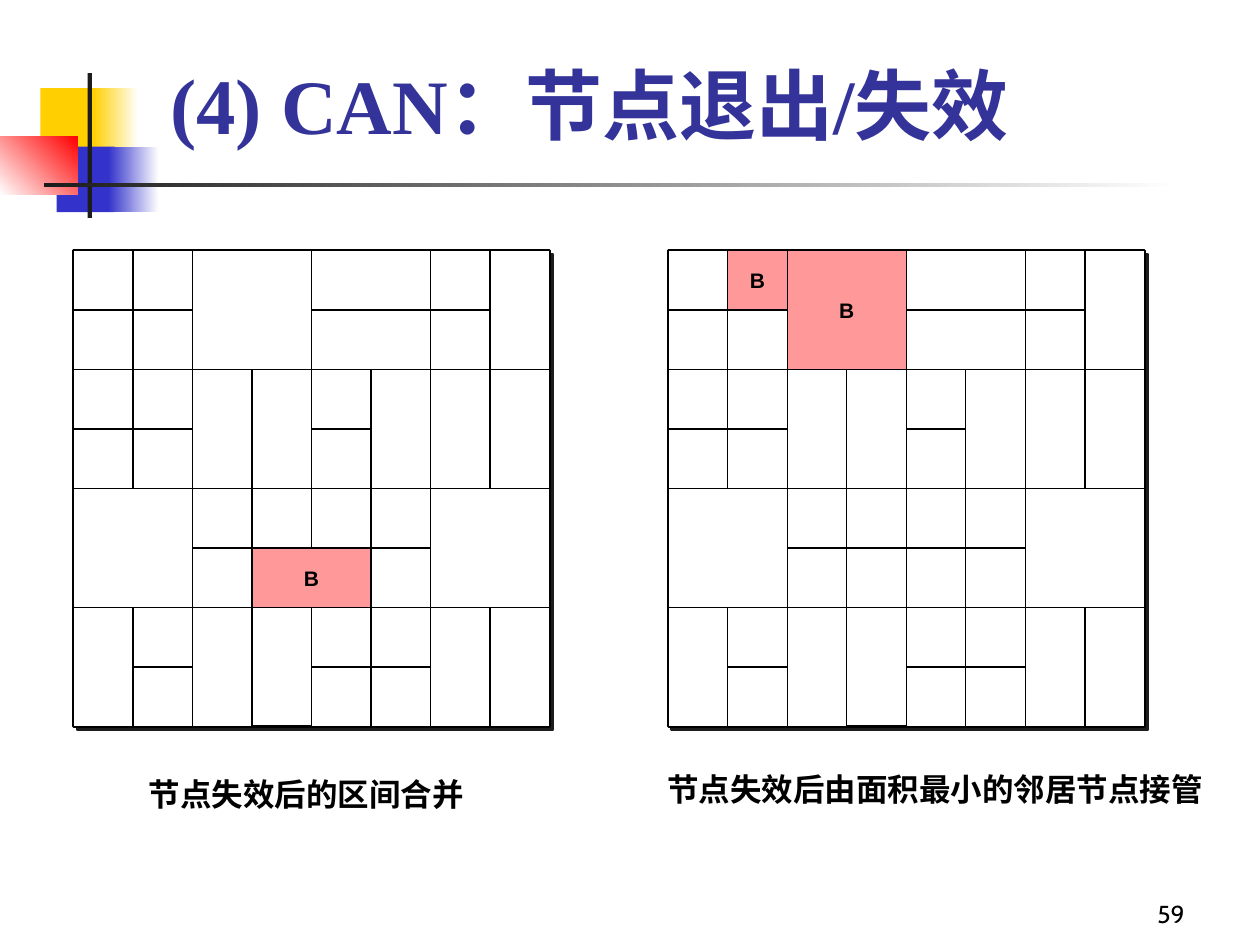
import pptx
import pptx.util
import pptx.dml.color
import pptx.enum.shapes
import pptx.enum.text
import pptx.oxml
import pptx.oxml.ns

Pt = pptx.util.Pt
RGB = pptx.dml.color.RGBColor.from_string
ALIGN = pptx.enum.text.PP_ALIGN
ANCHOR = pptx.enum.text.MSO_ANCHOR
RECT = pptx.enum.shapes.MSO_SHAPE.RECTANGLE

theme = {
    "white": "FFFFFF", "black": "000000", "dark": "1C1C1C", "gold": "FFCF01",
    "blue": "3333CC", "red": "FF0000", "pink": "FF9999", "navy": "333399",
    "title": {"name": "Times New Roman", "size": Pt(44), "bold": True},
    "label": {"name": "Arial", "size": Pt(12), "bold": True},
    "note": {"name": "Arial", "size": Pt(18), "bold": True},
    "page": {"name": "Cabin", "size": Pt(14), "bold": False},
}

deck = pptx.Presentation()
deck.slide_width = pptx.util.Inches(10)
deck.slide_height = pptx.util.Inches(7.5)
slide = deck.slides.add_slide(deck.slide_layouts[5])


def rect(x, y, w, h, fill, line=None, angle=0):
    """Add a rectangle placed in percent of the slide; a pair of fills is a gradient."""
    wide, high = deck.slide_width / 100, deck.slide_height / 100
    shape = slide.shapes.add_shape(
        RECT, round(x * wide), round(y * high), round(w * wide), round(h * high))
    shape.shadow.inherit = False
    if isinstance(fill, tuple):
        shape.fill.gradient()
        shape.fill.gradient_angle = angle
        for stop, name in zip(shape.fill.gradient_stops, fill):
            stop.color.rgb = RGB(theme[name])
    elif fill:
        shape.fill.solid()
        shape.fill.fore_color.rgb = RGB(theme[fill])
    else:
        shape.fill.background()
    if line:
        shape.line.width = Pt(line)
        shape.line.color.rgb = RGB(theme["black"])
    else:
        shape.line.fill.background()
    return shape


def write(shape, runs, style, color, align, anchor, wrap=True):
    """Fill a shape with one paragraph of (text, size) runs; size None keeps the style's."""
    frame = shape.text_frame
    form = {"word_wrap": wrap, "vertical_anchor": anchor,
            "auto_size": pptx.enum.text.MSO_AUTO_SIZE.NONE}
    for key, value in form.items():
        setattr(frame, key, value)
    line = frame.paragraphs[0]
    line.alignment = align
    for text, size in runs:
        run = line.add_run()
        run.text = text
        for key, value in theme[style].items():
            setattr(run.font, key, value)
        if size:
            run.font.size = Pt(size)
        run.font.color.rgb = RGB(theme[color])


# Corner ornament and title rule
for x, y, w, h, fill, angle in (
    (3.2, 9.33, 4.8, 6.93, "gold", 0),
    (7.4, 9.33, 3.6, 6.93, ("gold", "white"), 0),
    (4.5, 15.53, 4.6, 6.93, "blue", 0),
    (8.6, 15.53, 4, 6.93, ("blue", "white"), 0),
    (0, 14.4, 6.15, 6.2, ("white", "red"), 45),
    (6.95, 7.75, 0.35, 15.33, "dark", 0),
    (3.5, 19.33, 90, 0.5, ("dark", "white"), 0),
):
    rect(x, y, w, h, fill, angle=angle)

title = slide.shapes.title
spot = {"left": 0.125, "top": 0.052, "width": 0.852, "height": 0.114}
for key, share in spot.items():
    side = deck.slide_width if key in ("left", "width") else deck.slide_height
    setattr(title, key, round(side * share))
write(title, [("(4)", 45), (" CAN：节点退出/失效", None)],
      "title", "navy", ALIGN.LEFT, ANCHOR.BOTTOM)

# Zones of the 8 by 8 space: (columns, rows) -> (column, row) of each zone
zones = {
    (1, 1): [(0, 0), (0, 1), (0, 2), (0, 3), (1, 0), (1, 1), (1, 2), (1, 3),
             (1, 6), (1, 7), (2, 4), (3, 5), (4, 2), (4, 3), (4, 4), (4, 5),
             (4, 6), (4, 7), (5, 4), (5, 5), (5, 6), (5, 7), (6, 0), (6, 1)],
    (1, 2): [(0, 6), (2, 2), (2, 6), (3, 2), (5, 2), (6, 2), (6, 6),
             (7, 0), (7, 2), (7, 6)],
    (2, 1): [(4, 0), (4, 1)],
    (2, 2): [(0, 4), (2, 0), (6, 4)],
}
col, row, top = 4.725, 6.3, 26.5

# Left edge of each board, and the zones held by node B: column, row, columns, rows
boards = (
    (5.83, [(3, 5, 2, 1)]),
    (53.03, [(1, 0, 1, 1), (2, 0, 2, 2)]),
)
shade = (
    '<a:outerShdw %s dist="35560" dir="2700000" algn="ctr" rotWithShape="0">'
    '<a:srgbClr val="%s"/></a:outerShdw>'
    % (pptx.oxml.ns.nsdecls("a"), theme["dark"]))

for left, held in boards:
    board = rect(left, top, 8 * col, 8 * row, "white", 1.5)
    effect = board._element.spPr.find(pptx.oxml.ns.qn("a:effectLst"))
    effect.append(pptx.oxml.parse_xml(shade))
    taken = {(c + i, r + j) for c, r, w, h in held for i in range(w) for j in range(h)}
    for (w, h), spots in zones.items():
        for c, r in spots:
            if (c, r) not in taken:
                rect(left + c * col, top + r * row, w * col, h * row, "white", 0.75)
    for c, r, w, h in held:
        zone = rect(left + c * col, top + r * row, w * col, h * row, "pink", 0.75)
        write(zone, [("B", None)], "label", "black", ALIGN.CENTER, ANCHOR.MIDDLE, False)

# Captions and page number
for x, y, w, h, text, style, align, anchor in (
    (6.7, 81.33, 35.8, 5.33, "节点失效后的区间合并 ", "note", ALIGN.CENTER, ANCHOR.TOP),
    (51.7, 80.8, 45, 5.33, "节点失效后由面积最小的邻居节点接管", "note",
     ALIGN.CENTER, ANCHOR.TOP),
    (74.2, 92.27, 20.8, 6.67, "59", "page", ALIGN.RIGHT, ANCHOR.BOTTOM),
):
    write(rect(x, y, w, h, None), [(text, None)], style, "black", align, anchor)

deck.save("out.pptx")
